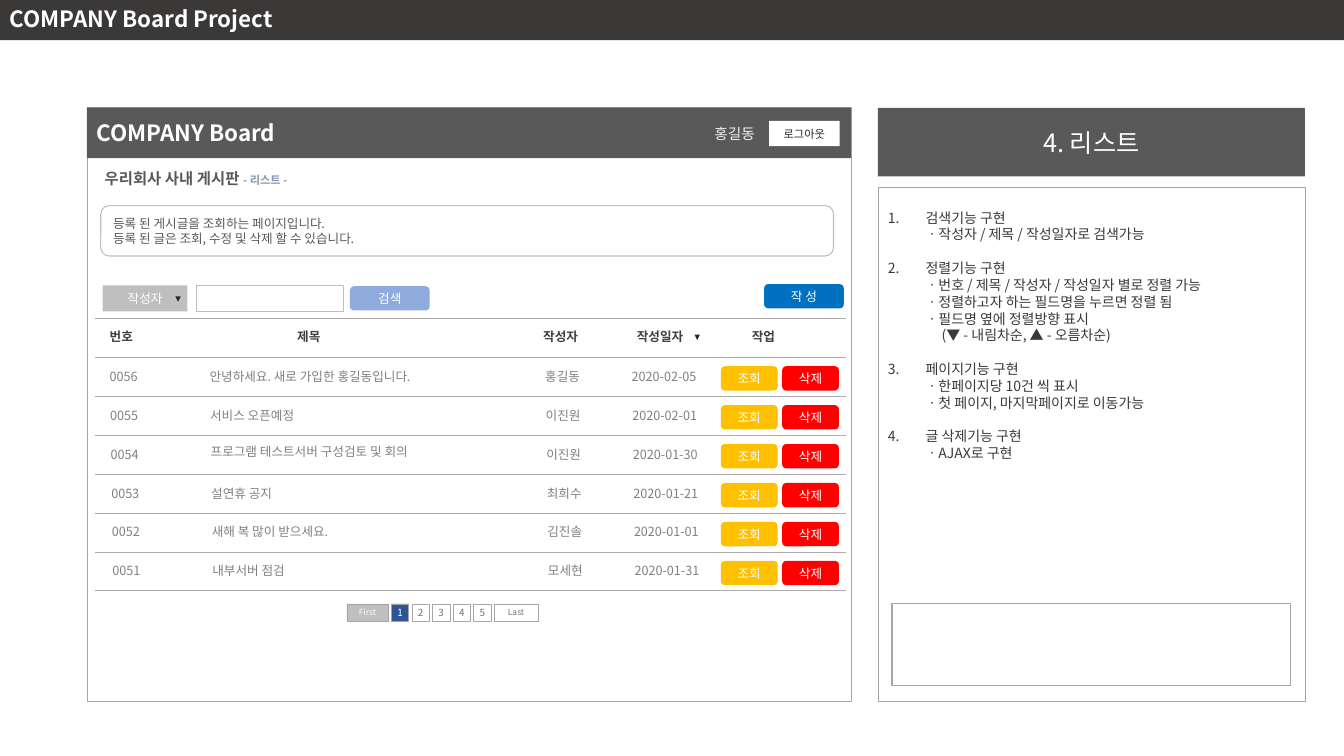
from dataclasses import dataclass
from typing import NamedTuple

from lxml.etree import SubElement
from pptx import Presentation
from pptx.dml.color import RGBColor
from pptx.enum.shapes import MSO_CONNECTOR, MSO_SHAPE
from pptx.enum.text import MSO_ANCHOR, MSO_AUTO_SIZE, PP_ALIGN
from pptx.oxml.ns import qn
from pptx.util import Pt


@dataclass(frozen=True)
class Theme:
    font: str = "Noto Sans CJK KR"
    # Colours
    white: str = "FFFFFF"
    dark: str = "3B3838"
    bar: str = "595959"
    ink: str = "262626"
    head: str = "404040"
    body: str = "808080"
    user: str = "F2F2F2"
    page: str = "767171"
    crumb: str = "8497B0"
    edge: str = "A6A6A6"
    rule: str = "AFABAB"
    grey: str = "BFBFBF"
    blue: str = "0070C0"
    pale: str = "8FAADC"
    navy: str = "2F5597"
    red: str = "FF0000"
    gold: str = "FFC000"
    # Type sizes
    topic: float = 18
    title: float = 16
    label: float = 11
    name: float = 10.5
    note: float = 10
    text: float = 9
    small: float = 8
    digit: float = 7
    tiny: float = 6


T = Theme()


class Rect(NamedTuple):
    x: float
    y: float
    w: float
    h: float


class Type(NamedTuple):
    size: float = T.text
    color: str = T.white
    bold: bool = False
    align: PP_ALIGN = PP_ALIGN.LEFT


class Button(NamedTuple):
    text: str
    area: Rect
    fill: str
    size: float = T.text
    color: str = T.white
    edge: str = ""
    kind: MSO_SHAPE = MSO_SHAPE.ROUNDED_RECTANGLE


class Column(NamedTuple):
    text: str
    x: float
    w: float


class Post(NamedTuple):
    code: str
    title: str
    author: str
    date: str
    lift: float = 0


class Item(NamedTuple):
    lines: list[str]
    hint: str = ""


deck = Presentation()
deck.slide_width, deck.slide_height = Pt(960), Pt(540)
slide = deck.slides.add_slide(deck.slide_layouts[6])


def style(font, kind: Type) -> None:
    font.size, font.bold, font.name = Pt(kind.size), kind.bold, T.font
    font.color.rgb = RGBColor.from_string(kind.color)
    SubElement(font._rPr, qn("a:ea"), typeface=T.font)


def write(frame, lines: list[str], kind: Type) -> None:
    for i, line in enumerate(lines):
        para = frame.add_paragraph() if i else frame.paragraphs[0]
        para.text, para.alignment = line, kind.align
        style(para.font, kind)


def box(area: Rect, fill: str, edge: str = "", width: float = 0.75,
        kind: MSO_SHAPE = MSO_SHAPE.RECTANGLE):
    shape = slide.shapes.add_shape(kind, *map(Pt, area))
    shape.shadow.inherit = False
    shape.fill.solid()
    shape.fill.fore_color.rgb = RGBColor.from_string(fill)
    if edge:
        shape.line.color.rgb = RGBColor.from_string(edge)
        shape.line.width = Pt(width)
    else:
        shape.line.fill.background()
    frame = shape.text_frame
    frame.word_wrap, frame.vertical_anchor = True, MSO_ANCHOR.MIDDLE
    return shape


def press(item: Button) -> None:
    frame = box(item.area, item.fill, item.edge, 0.25, item.kind).text_frame
    frame.margin_left = frame.margin_right = 0
    write(frame, [item.text], Type(item.size, item.color, align=PP_ALIGN.CENTER))


def label(area: Rect, text: str, kind: Type, wrap: bool = False):
    frame = slide.shapes.add_textbox(*map(Pt, area)).text_frame
    frame.word_wrap, frame.auto_size = wrap, MSO_AUTO_SIZE.SHAPE_TO_FIT_TEXT
    if text:
        write(frame, [text], kind)
    return frame


def rule(y: float) -> None:
    line = slide.shapes.add_connector(MSO_CONNECTOR.STRAIGHT, Pt(67.8), Pt(y), Pt(604.2), Pt(y))
    line.line.color.rgb = RGBColor.from_string(T.rule)
    line.line.width = Pt(0.5)
    SubElement(line._element.spPr, qn("a:effectLst"))


def arrow(x: float, y: float) -> None:
    box(Rect(x, y, 3.8, 3.8), T.ink, kind=MSO_SHAPE.ISOSCELES_TRIANGLE).rotation = 180


def notes(frame, items: list[Item]) -> None:
    kind = Type(T.note, T.dark)
    paras = [(n, "\v".join(item.lines)) for n, item in enumerate(items, 1)]
    rows = [row for (n, text), item in zip(paras, items)
            for row in ((n, text), (0, item.hint)) if row[1]]
    write(frame, [text for _, text in rows], kind)
    for i, (para, (n, _)) in enumerate(zip(frame.paragraphs, rows)):
        props = para._p.get_or_add_pPr()
        props.set("marL", str(Pt(27 if n else 38.5)))
        props.set("indent", str(Pt(-27 if n else 0)))
        if n:
            mark = props.makeelement(qn("a:buAutoNum"), {"type": "arabicPeriod", "startAt": str(n)})
            props.find(qn("a:defRPr")).addprevious(mark)
        if i + 1 < len(rows) and rows[i + 1][0]:
            para.space_after = Pt(12)


# Page title and board window
top = box(Rect(0, -2.2, 960, 31), T.dark)
write(top.text_frame, ["COMPANY Board Project"], Type(T.title, bold=True))
box(Rect(62.6, 77, 545.8, 424), T.white, T.edge)
head = box(Rect(62, 77, 546, 36), T.bar)
write(head.text_frame, ["COMPANY Board"], Type(T.title, bold=True))
label(Rect(503.3, 85.7, 52.6, 20.9), "홍길동", Type(T.name, T.user), True)

# Board name and intro
para = label(Rect(67.7, 117.4, 180, 20.9), "", Type(), True).paragraphs[0]
for text, kind in (("우리회사 사내 게시판 ", Type(T.label, T.bar, True)),
                   ("- 리스트 -", Type(T.small, T.crumb, True))):
    run = para.add_run()
    run.text = text
    style(run.font, kind)
intro = box(Rect(72, 146.9, 523.4, 36), T.white, T.grey, kind=MSO_SHAPE.ROUNDED_RECTANGLE)
write(intro.text_frame, ["등록 된 게시글을 조회하는 페이지입니다.",
                         "등록 된 글은 조회, 수정 및 삭제 할 수 있습니다."], Type(color=T.bar))

# Search bar and main buttons
box(Rect(140.4, 203.8, 105.1, 18.4), T.white, T.grey)
for item in (
    Button("로그아웃", Rect(549.4, 86.4, 50.4, 18), T.white, T.small, T.ink, kind=MSO_SHAPE.RECTANGLE),
    Button("작 성", Rect(545.8, 203, 56.9, 17.3), T.blue),
    Button("검색", Rect(250, 204.5, 56.9, 17.3), T.pale),
    Button("작성자", Rect(73.4, 203.8, 60.5, 18.7), T.grey, kind=MSO_SHAPE.RECTANGLE),
):
    press(item)
arrow(125.3, 211.7)

# Post list
STEP = 27.8
for i in range(8):
    rule(227.4 + i * STEP)
for col in (Column("번호", 71.3, 32.4), Column("제목", 205.2, 32.4), Column("작성자", 380.9, 41.8),
            Column("작성일자", 447.8, 51.1), Column("작업", 529.9, 32.4)):
    label(Rect(col.x, 231.1, col.w, 18), col.text, Type(color=T.head, bold=True))
arrow(496.1, 239)
posts = [
    Post("0056", "안녕하세요. 새로 가입한 홍길동입니다.", "홍길동", "2020-02-05"),
    Post("0055", "서비스 오픈예정", "이진원", "2020-02-01"),
    Post("0054", "프로그램 테스트서버 구성검토 및 회의", "이진원", "2020-01-30", 1.8),
    Post("0053", "설연휴 공지", "최희수", "2020-01-21"),
    Post("0052", "새해 복 많이 받으세요.", "김진솔", "2020-01-01"),
    Post("0051", "내부서버 점검", "모세현", "2020-01-31"),
]
for i, post in enumerate(posts):
    y, drift = 259.8 + i * STEP, i * 0.4
    for col in (Column(post.code, 71.2, 34.6), Column(post.author, 382.3, 41.8),
                Column(post.date, 444.2, 62.6)):
        label(Rect(col.x + drift, y, col.w, 18), col.text, Type(color=T.body))
    label(Rect(142.6 + drift, y - post.lift, 237.6, 18), post.title, Type(color=T.body), True)
    for text, x, fill in (("조회", 514.9, T.gold), ("삭제", 558.7, T.red)):
        press(Button(text, Rect(x, y + 1.8, 40.5, 17.4), fill))

# Page links
links = [Button("First", Rect(247.7, 431.3, 29.5, 12.2), T.grey, T.tiny),
         Button("Last", Rect(352.8, 431.3, 31.7, 12.2), T.white, T.tiny, T.page)]
for i in range(5):
    fill, color = (T.white, T.page) if i else (T.navy, T.white)
    links.append(Button(str(i + 1), Rect(279.5 + i * 14.7, 431.3, 12.4, 12.2), fill, T.digit, color))
for link in links:
    press(link._replace(edge=T.edge, kind=MSO_SHAPE.RECTANGLE))

# Notes panel
topic = box(Rect(627.1, 77, 305, 49), T.bar)
write(topic.text_frame, ["4. 리스트"], Type(T.topic, align=PP_ALIGN.CENTER))
panel = box(Rect(627.1, 133.8, 305, 367.2), T.white, T.edge, 0.5).text_frame
panel.vertical_anchor, panel.margin_top = MSO_ANCHOR.TOP, Pt(15.6)
notes(panel, [
    Item(["검색기능 구현", "ㆍ작성자 / 제목 / 작성일자로 검색가능"]),
    Item(["정렬기능 구현", "ㆍ번호 / 제목 / 작성자 / 작성일자 별로 정렬 가능",
          "ㆍ정렬하고자 하는 필드명을 누르면 정렬 됨", "ㆍ필드명 옆에 정렬방향 표시"],
         "(▼ - 내림차순, ▲ - 오름차순)"),
    Item(["페이지기능 구현", "ㆍ한페이지당 10건 씩 표시", "ㆍ첫 페이지, 마지막페이지로 이동가능"]),
    Item(["글 삭제기능 구현", "ㆍAJAX로 구현"]),
])
box(Rect(637.2, 431, 284.7, 58.6), T.white, T.edge, 1)

deck.save("out.pptx")
